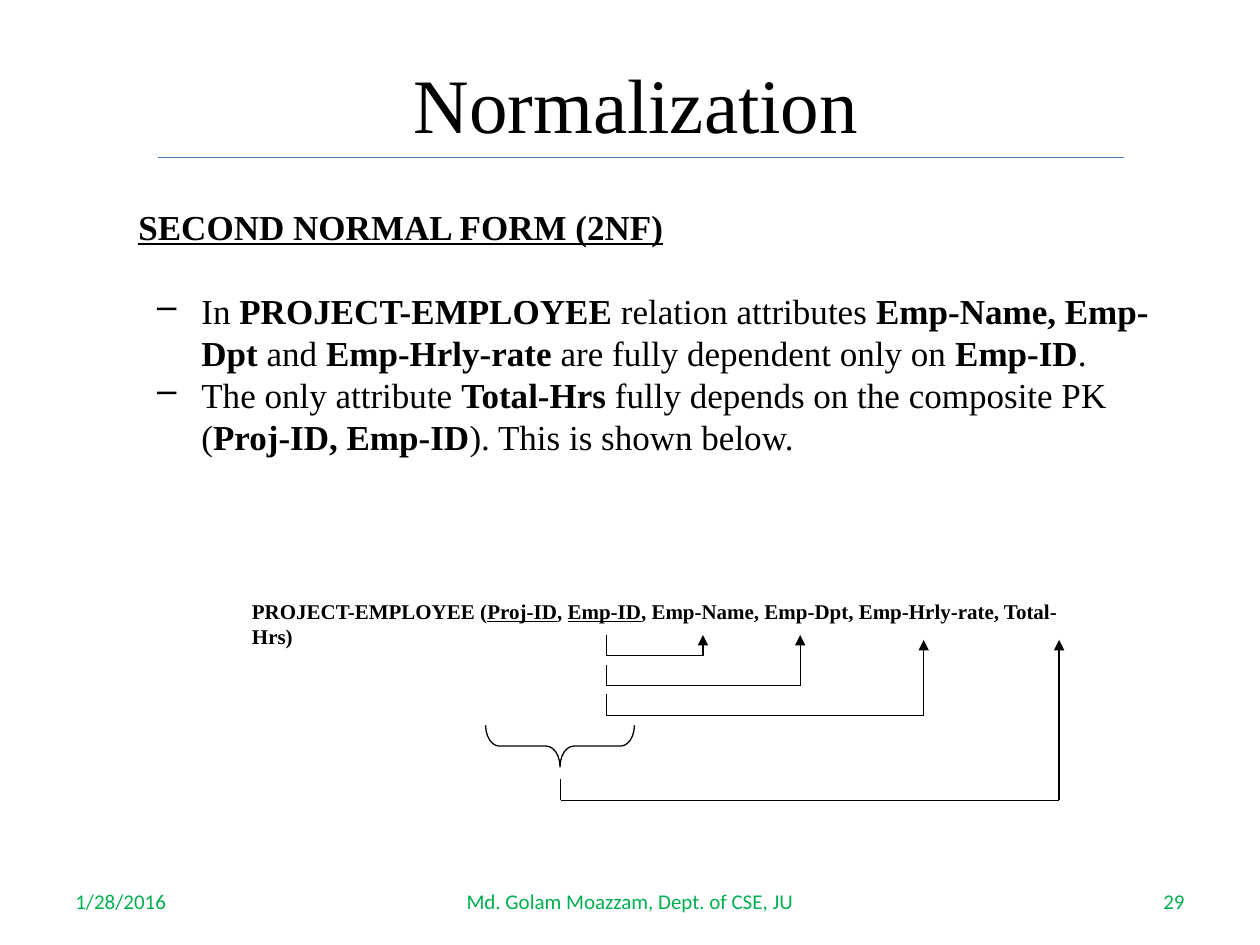
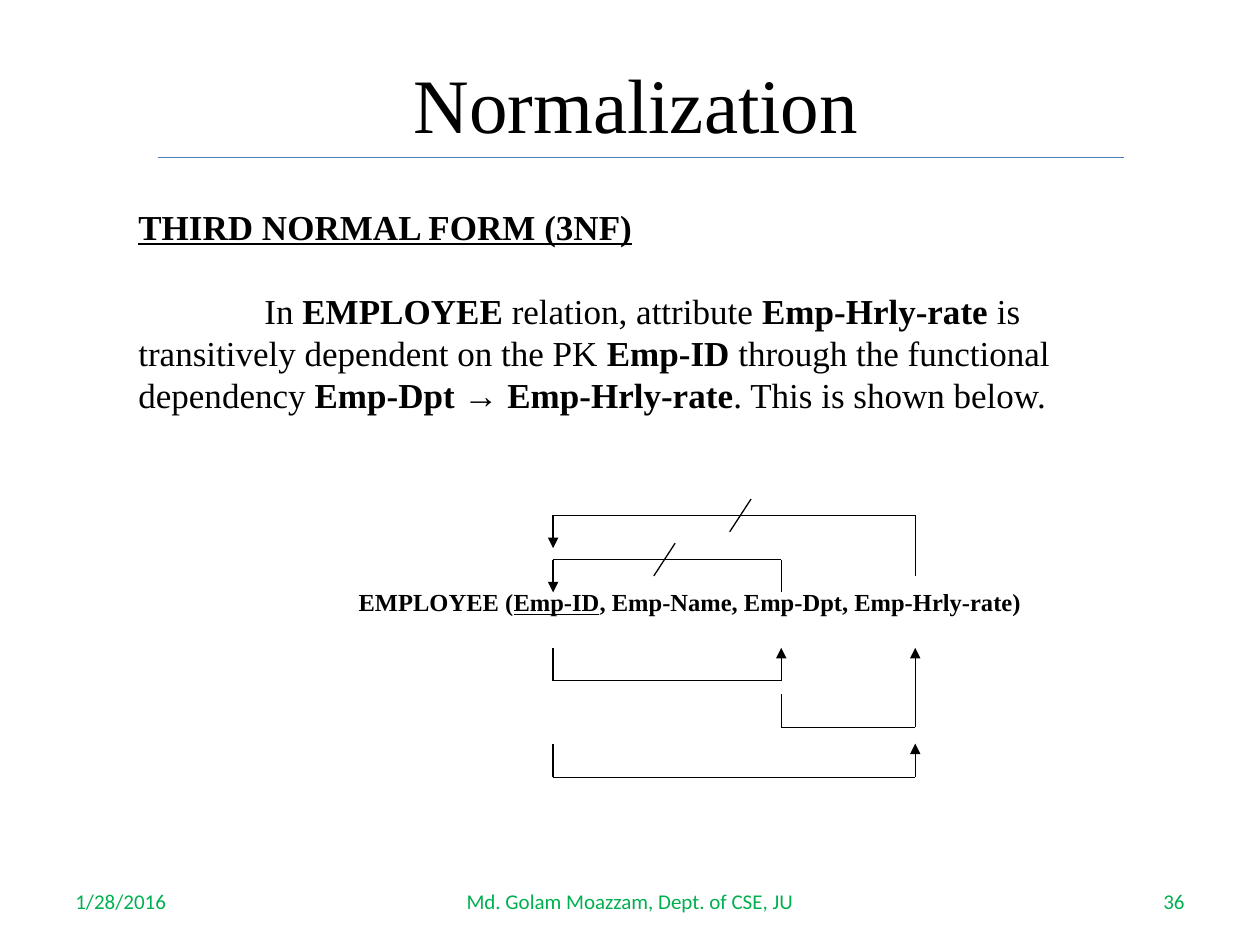
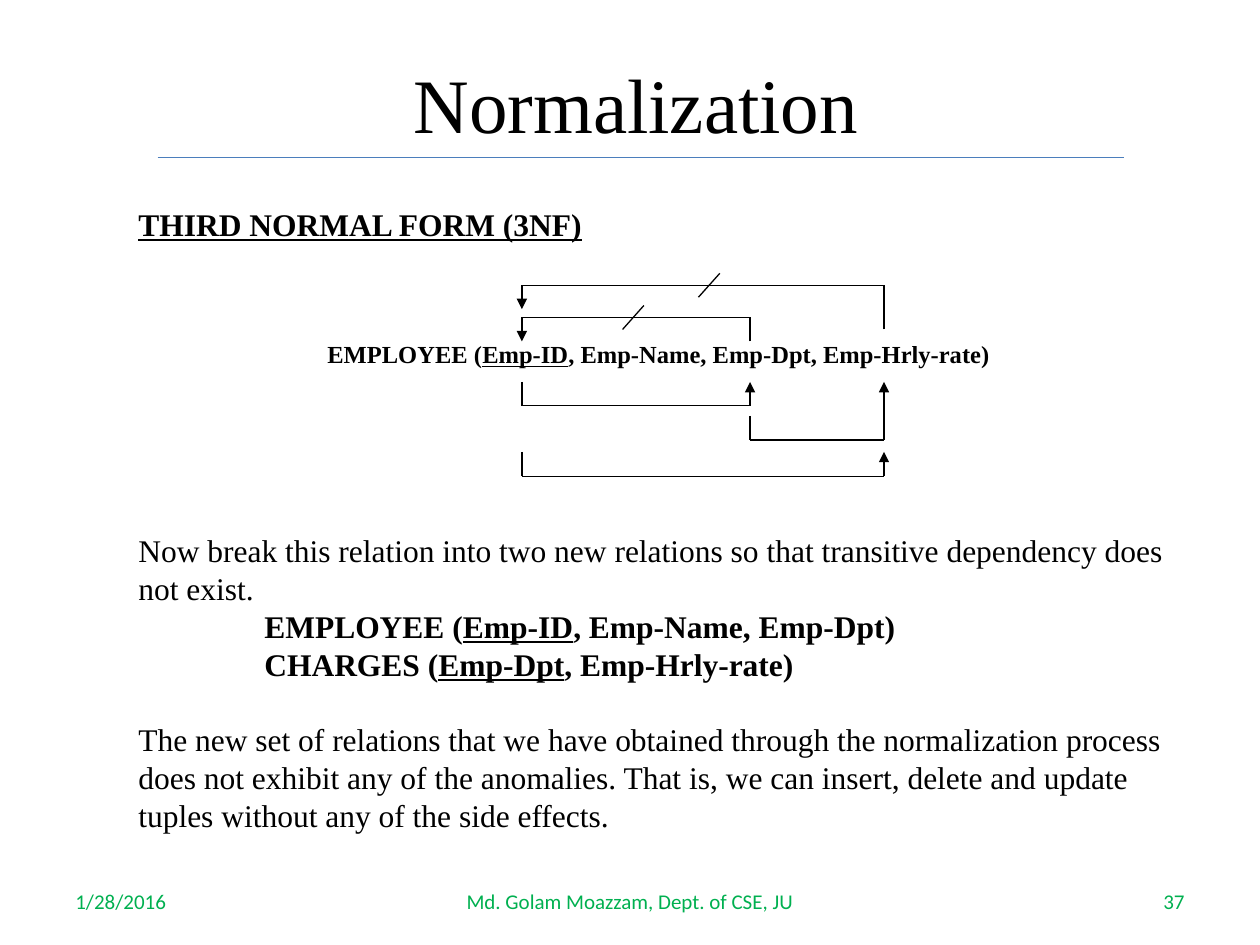
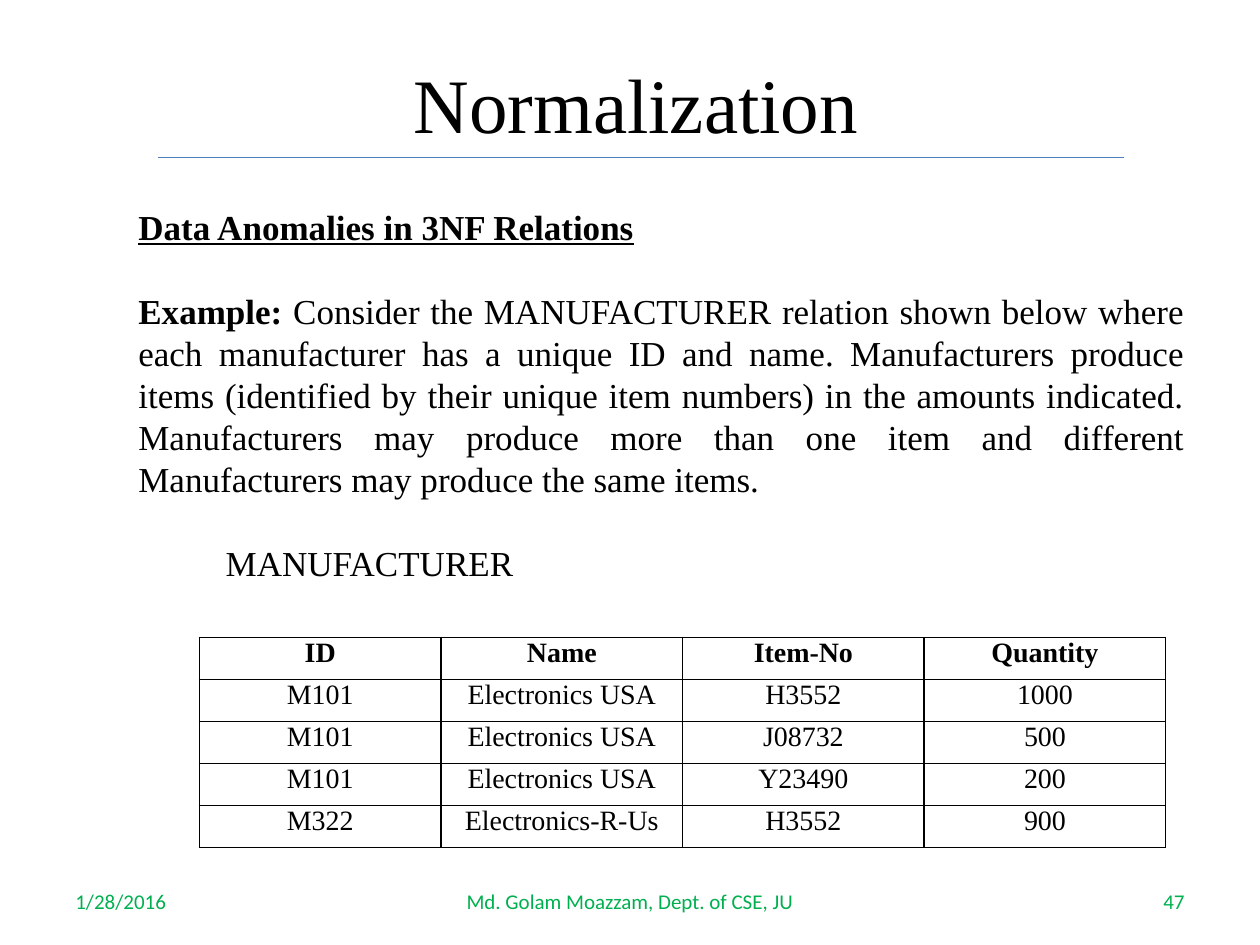
from dataclasses import dataclass

from lxml.etree import SubElement
from pptx import Presentation
from pptx.dml.color import RGBColor as Rgb
from pptx.enum.shapes import MSO_CONNECTOR as Conn, MSO_SHAPE as Shape
from pptx.enum.text import MSO_ANCHOR as Anchor, PP_ALIGN as Align
from pptx.oxml import parse_xml
from pptx.oxml.ns import nsdecls, qn
from pptx.util import Cm, Pt


@dataclass(frozen=True)
class Theme:
    serif: str = "Times New Roman"
    sans: str = "Calibri"
    ink: str = "000000"
    rule: str = "4B7EBC"
    foot: str = "00B050"
    title: int = 44
    body: int = 20
    small: int = 18
    cell: int = 16
    label: int = 14
    tiny: int = 12
    lead: float = 1.2
    thin: float = 0.75


T = Theme()
LEFT, WIDE = 2.54, 21.59
DATE = "1/28/2016"
AUTHOR = "Md. Golam Moazzam, Dept. of CSE, JU"
THIRD = "*_THIRD NORMAL FORM (3NF)"
STAFF = "*EMPLOYEE (_Emp-ID_, Emp-Name, Emp-Dpt, Emp-Hrly-rate)"


def write(par, text, size=T.body, font=T.serif, color=T.ink, align=Align.LEFT,
          lead=T.lead, gap=0, margin=0, first=0, bullet=None):
    """Fill a paragraph; * switches bold and _ underline, gap counts lines."""
    par.alignment = align
    par.space_before = Pt(gap * size * T.lead)
    par.space_after = Pt(0)
    if lead:
        par.line_spacing = Pt(lead * size)
    props = par._p.get_or_add_pPr()
    props.set("marL", str(Cm(margin)))
    props.set("indent", str(Cm(first)))
    if bullet:
        SubElement(props, qn("a:buChar")).set("char", bullet)
    for i, bold in enumerate(text.split("*")):
        for j, part in enumerate(bold.split("_")):
            if not part:
                continue
            run = par.add_run()
            run.text = part
            run.font.size, run.font.name = Pt(size), font
            run.font.color.rgb = Rgb.from_string(color)
            run.font.bold = i % 2 == 1
            run.font.underline = j % 2 == 1


def put(slide, box, *items, anchor=Anchor.TOP, wrap=True, **fmt):
    """Add a text box; an item is a text or a (text, format) pair."""
    frame = slide.shapes.add_textbox(*map(Cm, box)).text_frame
    frame.word_wrap = wrap
    frame.vertical_anchor = anchor
    for i, item in enumerate(items):
        text, own = (item, {}) if isinstance(item, str) else item
        par = frame.add_paragraph() if i else frame.paragraphs[0]
        write(par, text, **{**fmt, **own})


def line(slide, x1, y1, x2, y2, color=T.ink, arrow=False):
    link = slide.shapes.add_connector(
        Conn.STRAIGHT, Cm(x1), Cm(y1), Cm(x2), Cm(y2))
    link.line.color.rgb = Rgb.from_string(color)
    link.line.width = Pt(T.thin)
    if arrow:
        SubElement(link.line._get_or_add_ln(), qn("a:tailEnd")).set(
            "type", "triangle")
    SubElement(link._element.spPr, qn("a:effectLst"))


def route(slide, start, bar, end):
    """Lead from start along the height bar to an arrow at end."""
    (x1, y1), (x2, y2) = start, end
    line(slide, x1, y1, x1, bar)
    line(slide, x1, bar, x2, bar)
    line(slide, x2, bar, x2, y2, arrow=True)


def base(deck, page):
    slide = deck.slides.add_slide(deck.slide_layouts[6])
    put(slide, (3.39, 0.97, 19.26, 2.2), "Normalization ", size=T.title,
        align=Align.CENTER, anchor=Anchor.MIDDLE)
    line(slide, 3.18, 3.18, 22.65, 3.18, color=T.rule)
    feet = ((1.27, 5.93, DATE, Align.LEFT),
            (18.2, 5.93, str(page), Align.RIGHT),
            (8.68, 8.04, AUTHOR, Align.CENTER))
    for x, w, text, align in feet:
        put(slide, (x, 17.65, w, 1.02), text, size=T.tiny, font=T.sans,
            color=T.foot, align=align, lead=None, anchor=Anchor.MIDDLE)
    return slide


def brace(slide, x, y, w, h):
    shape = slide.shapes.add_shape(Shape.LEFT_BRACE, *map(Cm, (x, y, w, h)))
    shape.rotation = 270
    shape.adjustments[0] = 0.33
    shape.shadow.inherit = False
    shape.fill.background()
    shape.line.color.rgb = Rgb.from_string(T.ink)
    shape.line.width = Pt(T.thin)


def chain(slide, left, top, scale=1.0):
    """Draw the EMPLOYEE relation with its dependencies; left is Emp-ID."""
    key, dept, rate = left, left + 4.6, left + 7.3

    def at(y):
        return top + scale * y

    put(slide, (left - 4.17, at(1.65), 13.9, 0.9), STAFF, size=T.label,
        wrap=False)
    paths = ((rate, 1.55, 0.33, key, 0.99), (dept, 1.88, 1.22, key, 1.88),
             (key, 3, 3.66, dept, 3), (dept, 3.94, 4.6, rate, 3),
             (key, 4.93, 5.61, rate, 4.93))
    for x1, y1, bar, x2, y2 in paths:
        route(slide, (x1, at(y1)), at(bar), (x2, at(y2)))
    for x, y in ((3.56, 0), (2.03, 0.89)):
        line(slide, left + x + 0.43, at(y), left + x, at(y + 0.66))


def grid(slide, x, y, w, h, rows):
    count = len(rows[0])
    table = slide.shapes.add_table(
        len(rows), count, *map(Cm, (x, y, w, h))).table
    table.first_row = table.horz_banding = False
    for i, row in enumerate(rows):
        for j, text in enumerate(row):
            cell = table.cell(i, j)
            cell.margin_left = cell.margin_right = Cm(0.18)
            cell.margin_top = cell.margin_bottom = 0
            write(cell.text_frame.paragraphs[0], text if i else "*" + text,
                  size=T.cell, align=Align.CENTER, lead=None)
            cell.fill.background()
            edge(cell)


def edge(cell):
    props = cell._tc.get_or_add_tcPr()
    for i, side in enumerate("LRTB"):
        props.insert(i, parse_xml(
            f'<a:ln{side} {nsdecls("a")} w="{Pt(1)}"><a:solidFill>'
            f'<a:srgbClr val="{T.ink}"/></a:solidFill></a:ln{side}>'))


def second(deck):
    slide = base(deck, 29)
    dash = dict(margin=1.27, first=-0.89, bullet="–")
    put(slide, (LEFT, 4.01, WIDE, 7.19),
        "*_SECOND NORMAL FORM (2NF)",
        ("In *PROJECT-EMPLOYEE* relation attributes *Emp-Name, Emp-Dpt* and "
         "*Emp-Hrly-rate* are fully dependent only on *Emp-ID*.",
         dict(dash, gap=1)),
        ("The only attribute *Total-Hrs* fully depends on the composite PK "
         "(*Proj-ID, Emp-ID*). This is shown below.", dash))
    put(slide, (4.83, 11.94, 17.53, 0.84),
        "*PROJECT-EMPLOYEE (_Proj-ID_, _Emp-ID_, Emp-Name, Emp-Dpt, "
        "Emp-Hrly-rate, Total-Hrs)", size=T.tiny, wrap=False)
    for i, (x, tip) in enumerate(((14.17, 12.8), (16.13, 12.8),
                                  (18.62, 12.9))):
        top = 12.8 + 0.6 * i
        route(slide, (12.22, top), top + 0.42, (x, tip))
    brace(slide, 10.87, 13.54, 0.84, 3)
    route(slide, (11.3, 15.7), 16.13, (21.35, 12.9))


def third(deck):
    slide = base(deck, 36)
    put(slide, (LEFT, 4.01, WIDE, 8.69), THIRD,
        ("In *EMPLOYEE* relation, attribute *Emp-Hrly-rate* is transitively "
         "dependent on the PK *Emp-ID* through the functional dependency "
         "*Emp-Dpt → Emp-Hrly-rate*. This is shown below.",
         dict(gap=1, first=2.54)))
    chain(slide, 11.15, 10.06)


def split(deck):
    slide = base(deck, 37)
    put(slide, (LEFT, 4.01, WIDE, 2.11), THIRD, size=T.small)
    chain(slide, 10.52, 5.51, scale=0.73)
    put(slide, (LEFT, 10.59, WIDE, 6.35),
        "Now break this relation into two new relations so that transitive "
        "dependency does not exist.",
        ("*EMPLOYEE (_Emp-ID_, Emp-Name, Emp-Dpt)", dict(margin=2.54)),
        ("*CHARGES (_Emp-Dpt_, Emp-Hrly-rate)", dict(margin=2.54)),
        ("The new set of relations that we have obtained through the "
         "normalization process does not exhibit any of the anomalies. That "
         "is, we can insert, delete and update tuples without any of the "
         "side effects.", dict(gap=1)), size=T.small)


def maker(deck):
    slide = base(deck, 47)
    put(slide, (LEFT, 4.01, WIDE, 8.89),
        "*_Data Anomalies in 3NF Relations",
        ("*Example:* Consider the MANUFACTURER relation shown below where "
         "each manufacturer has a unique ID and name. Manufacturers produce "
         "items (identified by their unique item numbers) in the amounts "
         "indicated. Manufacturers may produce more than one item and "
         "different Manufacturers may produce the same items.",
         dict(gap=1, align=Align.JUSTIFY)),
        ("MANUFACTURER", dict(gap=1, margin=1.76)))
    grid(slide, 4.02, 12.85, 19.48, 4.23, (
        ("ID", "Name", "Item-No", "Quantity"),
        ("M101", "Electronics USA", "H3552", "1000"),
        ("M101", "Electronics USA", "J08732", "500"),
        ("M101", "Electronics USA", "Y23490", "200"),
        ("M322", "Electronics-R-Us", "H3552", "900")))


def main():
    deck = Presentation()
    deck.slide_width, deck.slide_height = Cm(25.4), Cm(19.05)
    for build in (second, third, split, maker):
        build(deck)
    deck.save("out.pptx")


if __name__ == "__main__":
    main()
